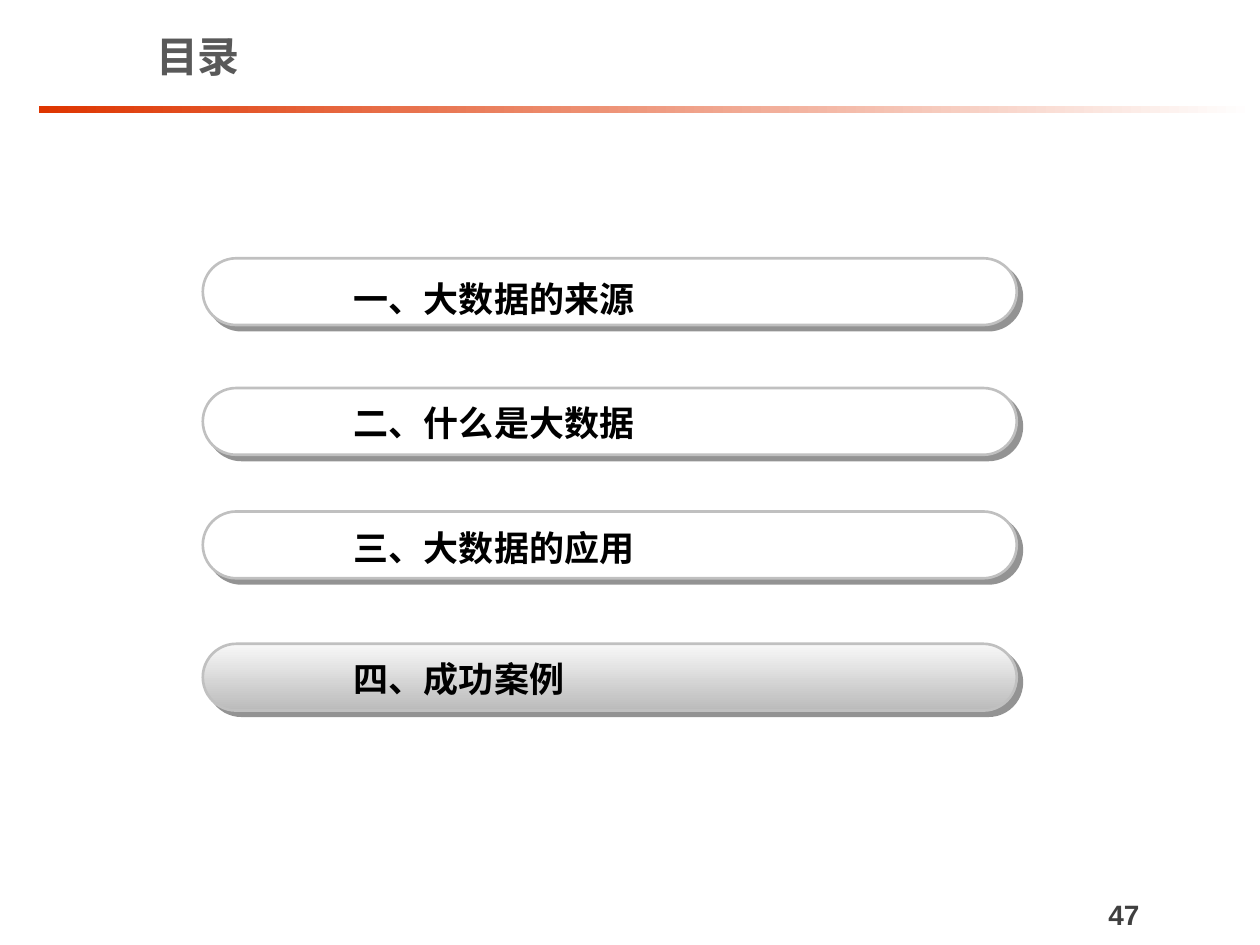
from lxml import etree
from pptx import Presentation
from pptx.dml.color import RGBColor
from pptx.enum.shapes import MSO_SHAPE
from pptx.enum.text import MSO_ANCHOR, PP_ALIGN
from pptx.oxml.ns import qn
from pptx.util import Inches, Pt

RECT, PILL = MSO_SHAPE.RECTANGLE, MSO_SHAPE.ROUNDED_RECTANGLE
LEFT, CENTER = PP_ALIGN.LEFT, PP_ALIGN.CENTER
TOP, MIDDLE = MSO_ANCHOR.TOP, MSO_ANCHOR.MIDDLE

THEME = {
    "cjk": "Noto Sans CJK SC", "latin": "Arial",
    "title": ("595959", 24), "item": ("000000", 20), "number": ("404040", 16),
    "rule": ("DE3500", "FFFFFF"), "active": ("F8F8F8", "BBBBBB"),
    "bar": "FFFFFF", "edge": "C0C0C0", "shadow": "292929",
}

prs = Presentation()
prs.slide_width, prs.slide_height = Inches(10), Inches(7.5)
COL, ROW = prs.slide_width // 100, prs.slide_height // 75
s = prs.slides.add_slide(prs.slide_layouts[6])


def add_text(text, x, y, w, h, style, font, align=LEFT, anchor=TOP, wrap=True):
    sp = s.shapes.add_textbox(int(x * COL), int(y * ROW), int(w * COL), int(h * ROW))
    tf = sp.text_frame
    tf.word_wrap, tf.vertical_anchor = wrap, anchor
    p = tf.paragraphs[0]
    p.text, p.alignment = text, align
    r = p.runs[0]
    color, size = THEME[style]
    r.font.name, r.font.size, r.font.bold = font, Pt(size), True
    r.font.color.rgb = RGBColor.from_string(color)
    etree.SubElement(r.font._element, qn("a:ea"), typeface=font)


def add_bar(shape, x, y, w, h, colors, angle=0):
    sp = s.shapes.add_shape(shape, int(x * COL), int(y * ROW), int(w * COL), int(h * ROW))
    sp.shadow.inherit = False
    if len(colors) == 1:
        sp.fill.solid()
        sp.fill.fore_color.rgb = RGBColor.from_string(colors[0])
    else:
        sp.fill.gradient()
        sp.fill.gradient_angle = angle
        for stop, color, position in zip(sp.fill.gradient_stops, colors, (0, 1)):
            stop.color.rgb = RGBColor.from_string(color)
            stop.position = position
    return sp


add_text("47", 78.4, 70.7, 21.6, 3.7, "number", THEME["latin"], CENTER, MIDDLE)
rule = add_bar(RECT, 3.1, 8.4, 96.5, 0.6, THEME["rule"])
rule.line.fill.background()
add_text("目录", 11.4, 1.3, 83.6, 6.3, "title", THEME["cjk"], anchor=MIDDLE)

items = [
    ("一、大数据的来源", 20.5, 21.5, 24.5),
    ("二、什么是大数据", 30.8, 31.4, 24.5),
    ("三、大数据的应用", 40.6, 41.3, 24.5),
    ("四、成功案例", 51.1, 51.7, 18.8),
]
for label, bar_y, text_y, text_w in items:
    colors = THEME["active"] if label == items[-1][0] else (THEME["bar"],)
    sp = add_bar(PILL, 16.1, bar_y, 64.6, 5.3, colors, 270)
    sp.adjustments[0] = 0.5
    sp.line.color.rgb = RGBColor.from_string(THEME["edge"])
    sp.line.width = Pt(1.5)
    effects = sp._element.spPr.find(qn("a:effectLst"))
    shadow = etree.SubElement(effects, qn("a:outerShdw"), blurRad="0",
                              dist=str(Pt(4.2)), dir="2700000",
                              algn="ctr", rotWithShape="0")
    tint = etree.SubElement(shadow, qn("a:srgbClr"), val=THEME["shadow"])
    etree.SubElement(tint, qn("a:alpha"), val="50000")
    add_text(label, 27.1, text_y, text_w, 4.4, "item", THEME["cjk"], wrap=False)

prs.save("out.pptx")
